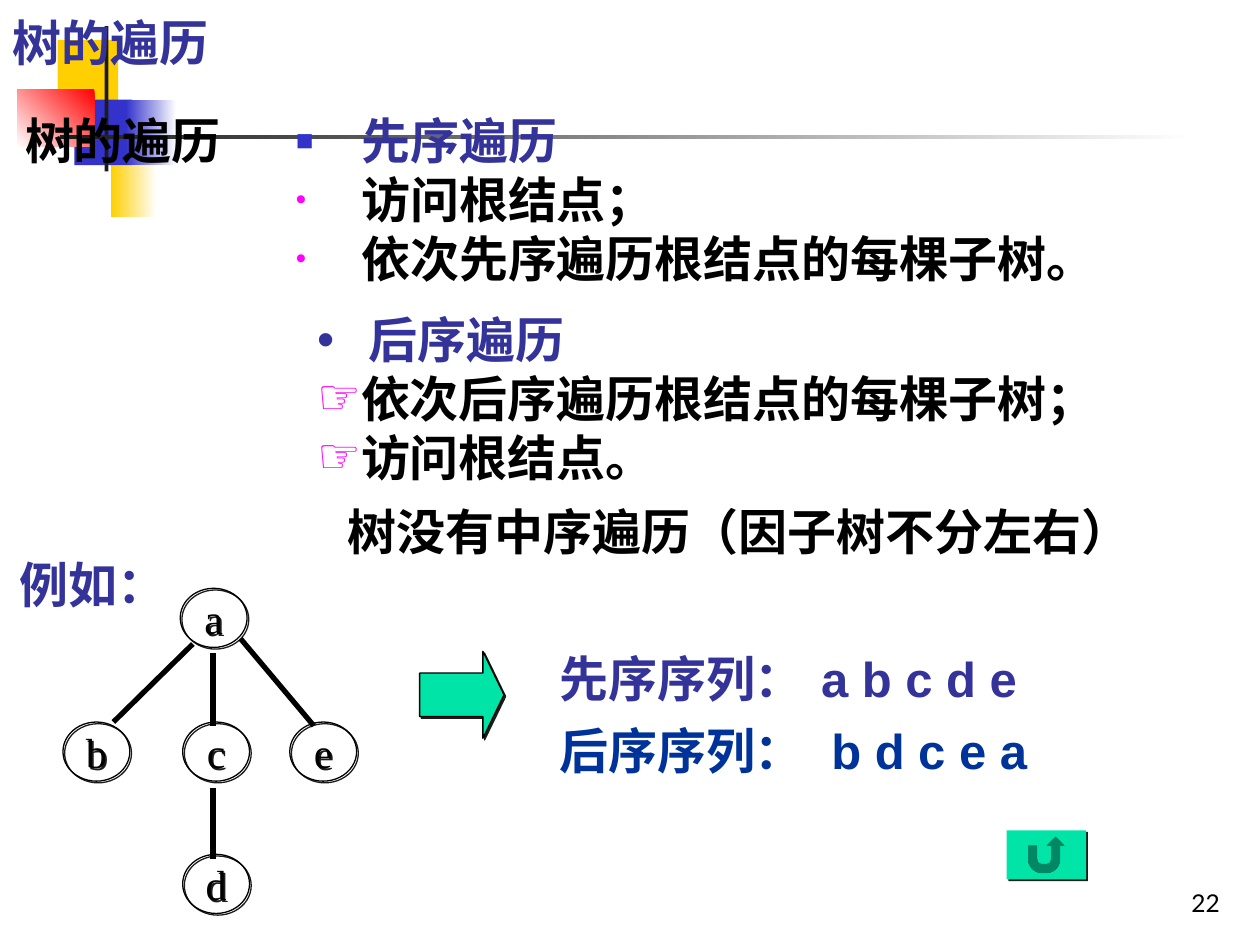
from lxml import etree
from pptx import Presentation
from pptx.dml.color import RGBColor
from pptx.enum.shapes import MSO_CONNECTOR, MSO_SHAPE
from pptx.enum.text import MSO_ANCHOR, PP_ALIGN
from pptx.oxml.ns import qn
from pptx.util import Pt

RECTANGLE, OVAL = MSO_SHAPE.RECTANGLE, MSO_SHAPE.OVAL
RIGHT_ARROW, RETURN_BUTTON = MSO_SHAPE.RIGHT_ARROW, MSO_SHAPE.ACTION_BUTTON_RETURN
STRAIGHT = MSO_CONNECTOR.STRAIGHT
MIDDLE, BOTTOM, TOP = MSO_ANCHOR.MIDDLE, MSO_ANCHOR.BOTTOM, MSO_ANCHOR.TOP
LEFT, CENTER, RIGHT = PP_ALIGN.LEFT, PP_ALIGN.CENTER, PP_ALIGN.RIGHT

HEX = {
    "yellow": "FFCF01", "blue": "3333CC", "red": "FF0000", "white": "FFFFFF",
    "charcoal": "1C1C1C", "indigo": "333399", "navy": "003399",
    "black": "000000", "magenta": "FF00FF", "green": "00E4A8",
}
COLORS = {name: RGBColor.from_string(value) for name, value in HEX.items()}
CJK, SANS, SERIF, BODY = "Noto Sans CJK SC", "Arial", "Times New Roman", "Lato"


def add_shadow(properties):
    effects = properties.find(qn("a:effectLst"))
    if effects is None:
        effects = etree.SubElement(properties, qn("a:effectLst"))
    shadow = etree.SubElement(effects, qn("a:outerShdw"), dist=str(Pt(1.4)), dir="2700000", algn="ctr")
    etree.SubElement(shadow, qn("a:srgbClr"), val=HEX["charcoal"])


def write(box, lines, font, size=28, bold=True, align=LEFT, anchor=TOP, wrap=True):
    frame = box.text_frame
    frame.word_wrap = wrap
    frame.vertical_anchor = anchor
    for index, (text, color, bullet) in enumerate(lines):
        para = frame.paragraphs[0] if index == 0 else frame.add_paragraph()
        span = para.add_run()
        span.text = text
        para.alignment = align
        if bullet:
            mark, mark_color, percent, indent = bullet
            settings = para._p.get_or_add_pPr()
            settings.set("marL", str(Pt(indent)))
            settings.set("indent", str(-Pt(indent)))
            tint = etree.SubElement(settings, qn("a:buClr"))
            etree.SubElement(tint, qn("a:srgbClr"), val=HEX[mark_color])
            etree.SubElement(settings, qn("a:buSzPct"), val=str(percent * 1000))
            etree.SubElement(settings, qn("a:buFont"), typeface="Arial")
            etree.SubElement(settings, qn("a:buChar"), char=mark)
        para.font.name = font
        para.font.size = Pt(size)
        para.font.bold = bold
        para.font.color.rgb = COLORS[color]
        if bold:
            add_shadow(span._r.get_or_add_rPr())


deck = Presentation()
deck.slide_width, deck.slide_height = Pt(720), Pt(540)
page = deck.slides.add_slide(deck.slide_layouts[5])
shapes = page.shapes

decorations = [
    (33, 23, 34.5, 37.5, "yellow", None, None),
    (63.4, 86.4, 26, 37.5, "white", "yellow", 180),
    (42.5, 56.9, 33, 37.5, "blue", None, None),
    (72, 56.9, 28.8, 37.5, "white", "blue", 180),
    (10, 51, 44, 33, "red", "white", 225),
    (59.8, 15, 2.2, 83, "charcoal", None, None),
    (34.5, 77, 648, 2.2, "white", "charcoal", 180),
]
for left, top, width, height, start, end, angle in decorations:
    block = shapes.add_shape(RECTANGLE, Pt(left), Pt(top), Pt(width), Pt(height))
    block.shadow.inherit = False
    block.line.fill.background()
    if end:
        block.fill.gradient()
        block.fill.gradient_angle = angle
        for stop, name in zip(block.fill.gradient_stops, (start, end)):
            stop.color.rgb = COLORS[name]
    else:
        block.fill.solid()
        block.fill.fore_color.rgb = COLORS[start]

title = shapes.title
title.left, title.top, title.width, title.height = Pt(0), Pt(0), Pt(286.5), Pt(48)
write(title, [("树的遍历", "indigo", None)], CJK, anchor=MIDDLE)
shapes.element.append(title.element)

square = ("■", "blue", 60, 37.4)
dot = ("•", "magenta", 60, 37.4)
large_dot = ("•", "indigo", 100, 29.5)
hand = ("☞", "magenta", 100, 0)
texts = [
    (162, 59.8, 510, 113.8, BODY, True, [
        ("先序遍历", "indigo", square),
        ("访问根结点；", "black", dot),
        ("依次先序遍历根结点的每棵子树。", "black", dot)]),
    (7.2, 59.8, 126, 41, CJK, False, [("树的遍历", "black", None)]),
    (4.3, 313.2, 98, 41, CJK, False, [("例如：", "indigo", None)]),
    (312.5, 367.2, 154, 41, SANS, False, [("先序序列：", "indigo", None)]),
    (312.5, 408.2, 154, 41, SANS, False, [("后序序列：", "navy", None)]),
    (462.2, 367.2, 150, 41, SANS, True, [("a b c d e", "indigo", None)]),
    (468, 408.2, 150, 41, SANS, True, [("b d c e a", "navy", None)]),
    (174.2, 173.5, 475, 108, SERIF, True, [
        ("后序遍历", "indigo", large_dot),
        ("依次后序遍历根结点的每棵子树；", "black", hand),
        ("访问根结点。", "black", hand)]),
    (191.5, 283, 528.5, 41, SERIF, True, [("树没有中序遍历（因子树不分左右）", "black", None)]),
]
for left, top, width, height, font, wrap, lines in texts:
    box = shapes.add_textbox(Pt(left), Pt(top), Pt(width), Pt(height))
    write(box, lines, font, wrap=wrap)

nodes = {"a": (103, 336.2), "b": (36, 412.6), "c": (104.4, 412.6), "e": (165.6, 412.6), "d": (104.4, 488.2)}
for label, (left, top) in nodes.items():
    node = shapes.add_shape(OVAL, Pt(left), Pt(top), Pt(38.2), Pt(33.8))
    node.shadow.inherit = False
    node.fill.background()
    node.line.color.rgb = COLORS["black"]
    node.line.width = Pt(0.75)
    add_shadow(node._element.spPr)
    write(node, [(label, "black", None)], SERIF, 24, False, CENTER, MIDDLE, False)

edges = [(110.2, 368, 64.8, 412.6), (137.5, 365, 179.3, 414.7), (121.7, 373, 121.7, 414.7), (121.7, 450, 121.7, 491)]
for edge in edges:
    branch = shapes.add_connector(STRAIGHT, *map(Pt, edge))
    branch.line.color.rgb = COLORS["black"]
    branch.line.width = Pt(3)
    etree.SubElement(branch._element.spPr, qn("a:effectLst"))

symbols = [(RIGHT_ARROW, 239.8, 372.2, 48.2, 49.7), (RETURN_BUTTON, 575.3, 474.5, 45.4, 28)]
for kind, left, top, width, height in symbols:
    symbol = shapes.add_shape(kind, Pt(left), Pt(top), Pt(width), Pt(height))
    symbol.shadow.inherit = False
    symbol.fill.solid()
    symbol.fill.fore_color.rgb = COLORS["green"]
    if kind == RIGHT_ARROW:
        symbol.adjustments[1] = 0.25
        symbol.line.color.rgb = COLORS["black"]
        symbol.line.width = Pt(0.75)
    else:
        symbol.line.fill.background()
    add_shadow(symbol._element.spPr)

number = shapes.add_textbox(Pt(554.4), Pt(491.8), Pt(149.8), Pt(36))
write(number, [("22", "black", None)], BODY, 14, False, RIGHT, BOTTOM)

deck.save("out.pptx")
